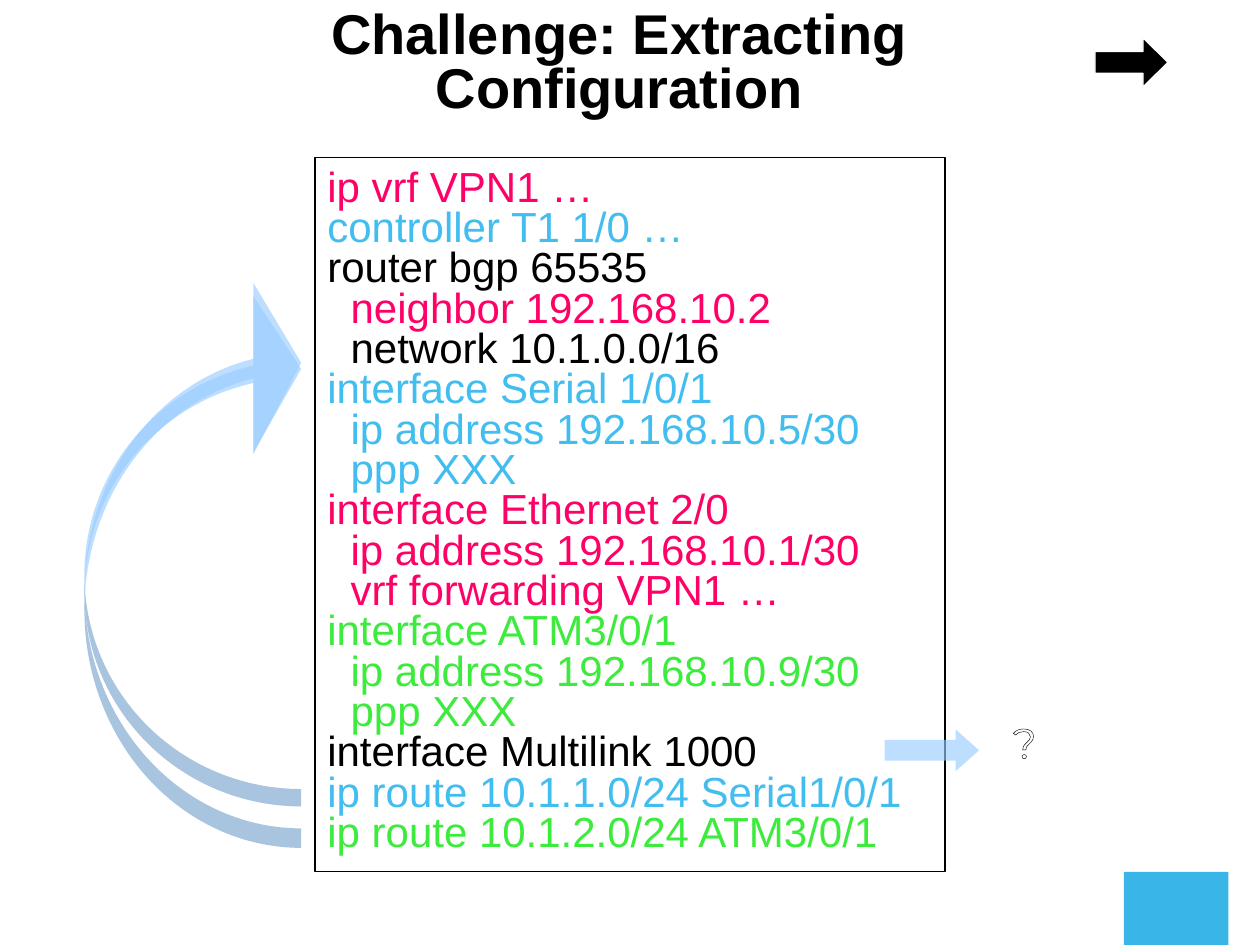
from dataclasses import dataclass

from lxml import etree
from pptx import Presentation
from pptx.dml.color import RGBColor
from pptx.enum.shapes import MSO_SHAPE
from pptx.enum.text import MSO_ANCHOR, PP_ALIGN
from pptx.oxml.ns import qn
from pptx.util import Inches, Pt

RECTANGLE = MSO_SHAPE.RECTANGLE
RIGHT_ARROW = MSO_SHAPE.RIGHT_ARROW
CURVED_ARROW = MSO_SHAPE.CURVED_RIGHT_ARROW
TOP, MIDDLE = MSO_ANCHOR.TOP, MSO_ANCHOR.MIDDLE
LEFT, CENTER = PP_ALIGN.LEFT, PP_ALIGN.CENTER


@dataclass(frozen=True)
class Theme:
    black: str = "000000"
    white: str = "FFFFFF"
    pink: str = "FF0066"
    blue: str = "42BDEF"
    green: str = "3DEB3D"
    corner: str = "39B5E7"
    arrow: str = "99CCFF"
    arrow_opacity: int = 64
    title_size: int = 32
    body_size: int = 24
    line_width: float = 0.75
    line_spacing: float = 0.8
    font: str = "Arial"
    mark_font: str = "Montserrat"


THEME = Theme()

CONFIG_LINES = [
    ("ip vrf VPN1 …", THEME.pink),
    ("controller T1 1/0 …", THEME.blue),
    ("router bgp 65535", THEME.black),
    ("  neighbor 192.168.10.2", THEME.pink),
    ("  network 10.1.0.0/16", THEME.black),
    ("interface Serial 1/0/1", THEME.blue),
    ("  ip address 192.168.10.5/30", THEME.blue),
    ("  ppp XXX", THEME.blue),
    ("interface Ethernet 2/0", THEME.pink),
    ("  ip address 192.168.10.1/30", THEME.pink),
    ("  vrf forwarding VPN1 …", THEME.pink),
    ("interface ATM3/0/1", THEME.green),
    ("  ip address 192.168.10.9/30", THEME.green),
    ("  ppp XXX", THEME.green),
    ("interface Multilink 1000", THEME.black),
    ("ip route 10.1.1.0/24 Serial1/0/1", THEME.blue),
    ("ip route 10.1.2.0/24 ATM3/0/1", THEME.green),
]


def set_all(target, values):
    for name, value in values.items():
        setattr(target, name, value)


def add_shape(page, kind, place, fill=None, line=None, adjustments=(), opacity=None):
    shape = page.shapes.add_shape(kind, *map(Inches, place))
    shape.shadow.inherit = False
    for index, value in enumerate(adjustments):
        shape.adjustments[index] = value
    if fill:
        shape.fill.solid()
        shape.fill.fore_color.rgb = RGBColor.from_string(fill)
    else:
        shape.fill.background()
    if line:
        shape.line.color.rgb = RGBColor.from_string(line)
        shape.line.width = Pt(THEME.line_width)
    else:
        shape.line.fill.background()
    if opacity:
        color = shape.fill._xPr.find(qn("a:solidFill"))[0]
        etree.SubElement(color, qn("a:alpha"), val=str(opacity * 1000))
    return shape


def add_curved_arrow(page, place, adjustments):
    shape = add_shape(page, CURVED_ARROW, place, THEME.arrow,
                      adjustments=adjustments, opacity=THEME.arrow_opacity)
    shape._element.spPr.find(qn("a:xfrm")).set("flipV", "1")


def write_lines(box, lines, size, font=THEME.font, bold=False, align=LEFT,
                anchor=MIDDLE, wrap=True, inset=0.05):
    frame = box.text_frame
    set_all(frame, {
        "word_wrap": wrap, "vertical_anchor": anchor,
        "margin_left": Inches(0.1), "margin_right": Inches(0.1),
        "margin_top": Inches(inset), "margin_bottom": Inches(inset),
    })
    for index, (text, color) in enumerate(lines):
        para = frame.add_paragraph() if index else frame.paragraphs[0]
        para.text = text
        set_all(para, {"alignment": align, "line_spacing": THEME.line_spacing})
        for span in para.runs:
            set_all(span.font, {"name": font, "size": Pt(size), "bold": bold})
            span.font.color.rgb = RGBColor.from_string(color)


def add_text(page, place, lines, size, **style):
    box = page.shapes.add_textbox(*map(Inches, place))
    write_lines(box, lines, size, **style)
    return box


def outline_text(box, color):
    for span in box.text_frame.paragraphs[0].runs:
        outline = etree.Element(qn("a:ln"), w=str(Pt(THEME.line_width)))
        fill = etree.SubElement(outline, qn("a:solidFill"))
        etree.SubElement(fill, qn("a:srgbClr"), val=color)
        span.font._element.insert(0, outline)


def main():
    deck = Presentation()
    set_all(deck, {"slide_width": Inches(10), "slide_height": Inches(7.5)})
    page = deck.slides.add_slide(deck.slide_layouts[6])

    add_shape(page, RECTANGLE, (8.92, 6.92, 0.83, 0.58), THEME.corner)
    add_text(page, (0.17, 0.17, 9.49, 0.7),
             [("Challenge: Extracting\vConfiguration", THEME.black)],
             THEME.title_size, bold=True, align=CENTER)

    config_box = add_shape(page, RECTANGLE, (2.5, 1.25, 5, 5.67), line=THEME.black)
    write_lines(config_box, CONFIG_LINES, THEME.body_size, anchor=TOP, inset=0.1)

    add_curved_arrow(page, (0.67, 2.31, 1.72, 4.09), (0.08, 0.72, 0.22))
    add_curved_arrow(page, (0.67, 2.2, 1.72, 4.53), (0.09, 0.79, 0.22))

    add_shape(page, RIGHT_ARROW, (7.02, 5.79, 0.75, 0.33), THEME.arrow,
              adjustments=(0.5, 0.56), opacity=THEME.arrow_opacity)
    question = add_text(page, (7.94, 5.57, 0.3, 0.71), [("?", THEME.white)],
                        THEME.body_size, font=THEME.mark_font, wrap=False)
    outline_text(question, THEME.black)
    add_shape(page, RIGHT_ARROW, (8.69, 0.3, 0.58, 0.39), THEME.black,
              line=THEME.white, adjustments=(0.44, 0.51))

    deck.save("out.pptx")


if __name__ == "__main__":
    main()
